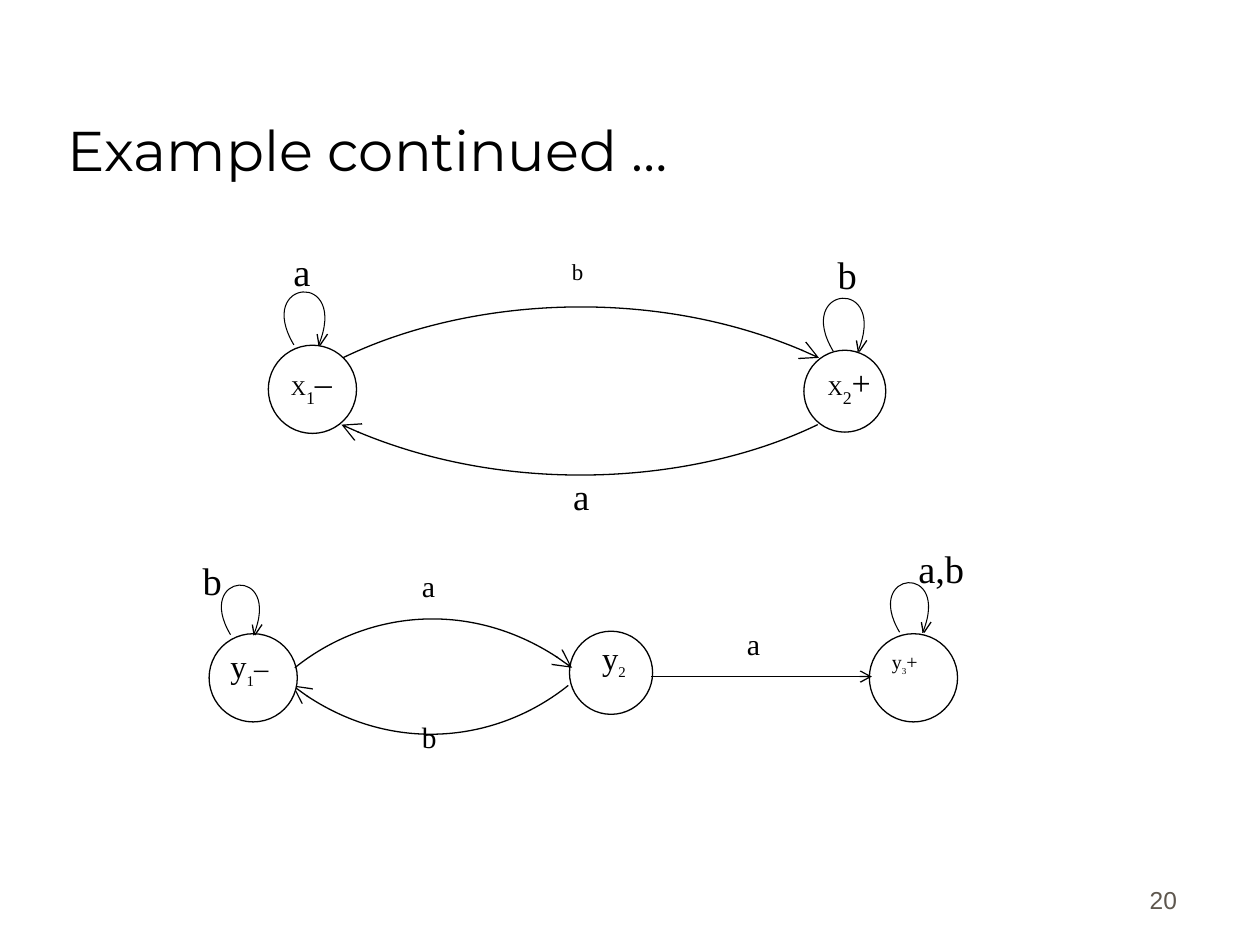
"""Build a slide with two finite automata drawn as state diagrams."""
from dataclasses import dataclass

from lxml import etree
from pptx import Presentation
from pptx.dml.color import RGBColor
from pptx.enum.shapes import MSO_CONNECTOR, MSO_SHAPE
from pptx.enum.text import MSO_ANCHOR, PP_ALIGN
from pptx.oxml.ns import qn
from pptx.util import Inches, Pt

OVAL, STRAIGHT = MSO_SHAPE.OVAL, MSO_CONNECTOR.STRAIGHT
TOP, BOTTOM = MSO_ANCHOR.TOP, MSO_ANCHOR.BOTTOM
LEFT, RIGHT = PP_ALIGN.LEFT, PP_ALIGN.RIGHT
WIDE, HIGH = Inches(10), Inches(7.5)
CELL = WIDE / 100


@dataclass(frozen=True)
class Theme:
    """Hold the colours, fonts and type sizes."""
    ink: RGBColor = RGBColor(0, 0, 0)
    paper: RGBColor = RGBColor(255, 255, 255)
    grey: RGBColor = RGBColor(0x5E, 0x57, 0x4E)
    serif: str = "Times New Roman"
    head: str = "Montserrat"
    sans: str = "Arial"
    title: float = 32
    page: float = 14
    large: float = 22
    back: float = 21
    mid: float = 17.1
    low: float = 16.8
    small: float = 13.1
    x_name: tuple = (12, 17.6, 19.4)
    y_name: tuple = (18.6, 14.7, 16.3)
    y_last: tuple = (11.4, 9, 11.4)
    stroke: float = 0.75
    thin: float = 0.6


THEME = Theme()


def grid(*cells):
    """Turn counts of grid cells into lengths."""
    return [round(cell * CELL) for cell in cells]


def write(slide, box, runs, font=THEME.serif, color=THEME.ink,
          space=1.0, anchor=TOP, align=LEFT):
    """Add a text box from (text, size, baseline) runs."""
    frame = slide.shapes.add_textbox(*grid(*box)).text_frame
    frame.word_wrap, frame.vertical_anchor = True, anchor
    para = frame.paragraphs[0]
    para.alignment, para.line_spacing = align, space
    for text, size, base in runs:
        run = para.add_run()
        run.text = text
        for key, value in {"name": font, "size": Pt(size)}.items():
            setattr(run.font, key, value)
        run.font.color.rgb = color
        if base:
            run.font._element.set("baseline", str(base * 1000))


def label(slide, box, text, size, space=1.0):
    """Add the letter of one transition."""
    write(slide, box, [(text, size, 0)], space=space)


def name(slide, box, parts, sizes, space):
    """Add a state name with its subscript and sign."""
    runs = list(zip(parts, sizes, (0, -30, 0)))
    write(slide, box, runs, space=space)


def ink(shape, width=THEME.stroke, tip=None):
    """Set the line of a shape and an arrowhead of the given size."""
    shape.line.color.rgb = THEME.ink
    shape.line.width = Pt(width)
    if tip:
        line = shape.line._get_or_add_ln()
        etree.SubElement(line, qn("a:tailEnd"), type="arrow", w=tip, len=tip)


def state(slide, left, top, size):
    """Add the circle of one state."""
    shape = slide.shapes.add_shape(OVAL, *grid(left, top, size, size))
    shape.shadow.inherit = False
    shape.fill.solid()
    shape.fill.fore_color.rgb = THEME.paper
    ink(shape)


def trace(slide, points, **style):
    """Add an open outline through grid points."""
    spots = [grid(*point) for point in points]
    pen = slide.shapes.build_freeform(*spots[0], scale=1.0)
    pen.add_line_segments(spots[1:], close=False)
    shape = pen.convert_to_shape()
    shape.shadow.inherit = False
    shape.fill.background()
    ink(shape, **style)
    return shape


def curve(slide, points, **style):
    """Add a cubic curve from its start, two controls and end."""
    shape = trace(slide, points, **style)
    path = next(shape._element.iter(qn("a:path")))
    bend = etree.SubElement(path, qn("a:cubicBezTo"))
    for step in path.findall(qn("a:lnTo")):
        bend.append(step[0])
        path.remove(step)
    return shape


def loop(slide, left, top, wide, high):
    """Add a tilted self-loop with a two-stroke arrowhead."""
    def place(shares):
        return [(left + x * wide, top + y * high) for x, y in shares]

    arc = [(0.48, 1), (0, 0.21), (1, 0), (0.74, 0.98)]
    curve(slide, place(arc), width=THEME.thin).rotation = 5
    for barb in ([(0.72, 1), (0.8, 0.86)], [(0.69, 0.86), (0.71, 1)]):
        trace(slide, place(barb))


def arrow(slide, start, end):
    """Add a straight transition."""
    link = slide.shapes.add_connector(STRAIGHT, *grid(*start, *end))
    ink(link, tip="med")
    etree.SubElement(link._element.spPr, qn("a:effectLst"))


def first(slide):
    """Draw the automaton with two states."""
    state(slide, 21.3, 27.4, 7)
    state(slide, 63.8, 27.8, 6.5)
    curve(slide, [(27.2, 28.4), (36.9, 23.7), (52.5, 22.5), (65, 28.4)],
          tip="lg")
    curve(slide, [(64.9, 33.7), (55.2, 38.4), (39.6, 39.5), (27.1, 33.7)],
          tip="lg")
    for left, top in ((20, 21.1), (62.8, 21.6)):
        loop(slide, left, top, 7.5, 6.3)
    for left, parts in ((22.1, "X1–"), (64.7, "X2+")):
        name(slide, (left, 28.2, 9.8, 5.3), parts, THEME.x_name, 0.9)
    label(slide, (22.3, 19.2, 8.4, 5.6), "a", THEME.large)
    label(slide, (65.5, 19.4, 8.4, 5.6), "b", THEME.large)
    label(slide, (44.4, 20.4, 3.3, 3.3), "b", THEME.small, 0.8)
    label(slide, (44.5, 37.1, 3.9, 4.6), "a", THEME.back)


def second(slide):
    """Draw the automaton with three states."""
    curve(slide, [(45.1, 54.4), (39.5, 58.9), (30.4, 60), (23.2, 54.4)],
          tip="lg")
    for left, top, size in ((16.6, 50.3, 7), (45.2, 50.1, 6.6), (69, 50.3, 7)):
        state(slide, left, top, size)
    curve(slide, [(23.4, 53), (29, 48.5), (38.1, 47.4), (45.4, 53)], tip="lg")
    arrow(slide, (51.7, 53.7), (69.2, 53.7))
    for left, top in ((15.2, 44.5), (68.3, 44.3)):
        loop(slide, left, top, 7, 5.9)
    name(slide, (17.3, 51.2, 8, 4.6), "y1–", THEME.y_name, 0.8)
    name(slide, (46.8, 50.5, 8, 4.5), "y2", THEME.y_name, 0.8)
    name(slide, (69.8, 51.3, 7.7, 3.4), "y3+", THEME.y_last, 0.8)
    label(slide, (15.1, 43.7, 9.8, 6.7), "b", THEME.large)
    label(slide, (71.9, 42.8, 9.8, 6.7), "a,b", THEME.large)
    for left, top, text, size in ((32.5, 45.1, "a", THEME.mid),
                                  (58.3, 49.7, "a", THEME.mid),
                                  (32.5, 57.1, "b", THEME.low)):
        label(slide, (left, top, 4.1, 4), text, size, 0.8)


def main():
    """Build and save the slide."""
    deck = Presentation()
    deck.slide_width, deck.slide_height = WIDE, HIGH
    slide = deck.slides.add_slide(deck.slide_layouts[6])
    write(slide, (73.6, 68.1, 20.8, 5), [("20", THEME.page, 0)],
          THEME.sans, THEME.grey, anchor=BOTTOM, align=RIGHT)
    write(slide, (4.4, 2.5, 85, 12.5),
          [("Example continued …", THEME.title, 0)], THEME.head, anchor=BOTTOM)
    first(slide)
    second(slide)
    deck.save("out.pptx")


if __name__ == "__main__":
    main()
